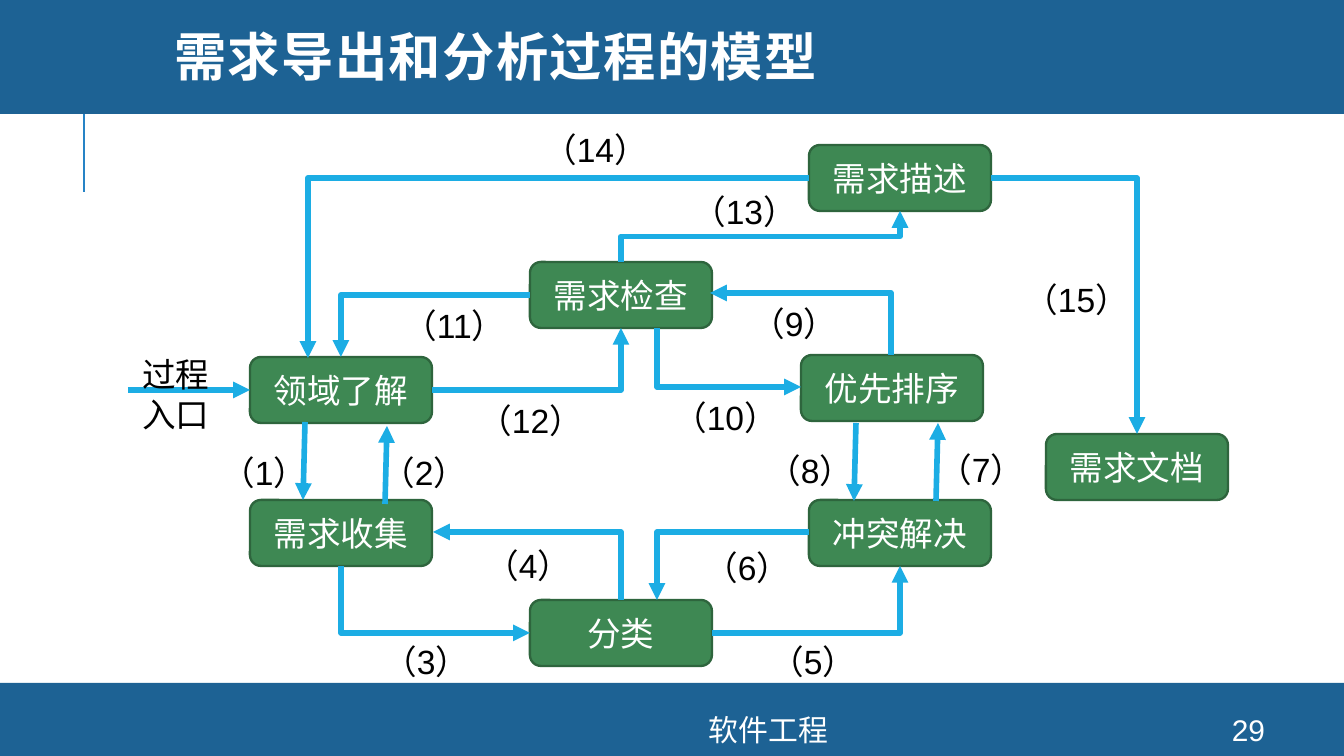
import pptx
import pptx.util
import pptx.dml.color
import pptx.enum.shapes
import pptx.enum.text
import pptx.oxml.ns
import lxml.etree

EMU_PER_PX = 914400 / 134.4
WIDTH, HEIGHT = 1344, 756
BOX_WIDTH, BOX_HEIGHT = 182, 66
BAND, GREEN, DARK_GREEN = "1D6294", "3E8853", "2E653D"
ARROW, RULE, WHITE, BLACK = "1CADE4", "2683C6", "FFFFFF", "000000"

Kind = pptx.enum.shapes.MSO_CONNECTOR
Shape = pptx.enum.shapes.MSO_SHAPE
Anchor = pptx.enum.text.MSO_ANCHOR
Align = pptx.enum.text.PP_ALIGN


def px(length):
    return pptx.util.Emu(round(length * EMU_PER_PX))


def color(code):
    return pptx.dml.color.RGBColor.from_string(code)


def add_xml(parent, tag, **attributes):
    return lxml.etree.SubElement(parent, pptx.oxml.ns.qn(tag), **attributes)


class Painter:
    font = "Arial"

    def __init__(self, page):
        self.page = page

    def add_text(self, frame, lines, size, code, align, bold=False):
        for index, line in enumerate(lines):
            para = frame.paragraphs[0] if index == 0 else frame.add_paragraph()
            para.alignment = align
            span = para.add_run()
            span.text = line
            span.font.name = self.font
            span.font.size = pptx.util.Pt(size)
            span.font.bold = bold
            span.font.color.rgb = color(code)

    def shape(self, kind, left, top, width, height, fill):
        shape = self.page.shapes.add_shape(kind, px(left), px(top), px(width), px(height))
        shape.shadow.inherit = False
        shape.fill.solid()
        shape.fill.fore_color.rgb = color(fill)
        return shape

    def band(self, top, height):
        self.shape(Shape.RECTANGLE, 0, top, WIDTH, height, BAND).line.fill.background()

    def step(self, name, left, top):
        box = self.shape(Shape.ROUNDED_RECTANGLE, left, top, BOX_WIDTH, BOX_HEIGHT, GREEN)
        box.line.color.rgb = color(DARK_GREEN)
        box.line.width = pptx.util.Pt(1.25)
        box.text_frame.vertical_anchor = Anchor.MIDDLE
        self.add_text(box.text_frame, [name], 18, WHITE, Align.CENTER)
        return box

    def label(self, lines, left, top, width, height):
        box = self.page.shapes.add_textbox(px(left), px(top), px(width), px(height))
        box.text_frame.word_wrap = False
        box.text_frame.auto_size = pptx.enum.text.MSO_AUTO_SIZE.SHAPE_TO_FIT_TEXT
        self.add_text(box.text_frame, lines, 18, BLACK, Align.LEFT)

    def heading(self, text, left, top, width, height, size, align, bold=False):
        box = self.page.shapes.add_textbox(px(left), px(top), px(width), px(height))
        frame = box.text_frame
        frame.word_wrap = True
        frame.margin_top = frame.margin_bottom = 0
        frame.vertical_anchor = Anchor.MIDDLE
        self.add_text(frame, [text], size, WHITE, align, bold)
        return frame.paragraphs[0]

    def line(self, kind, start, end, code=ARROW, weight=3, arrow_end="a:tailEnd"):
        line = self.page.shapes.add_connector(kind, *map(px, start + end))
        line.line.color.rgb = color(code)
        line.line.width = pptx.util.Pt(weight)
        properties = line._element.spPr
        if arrow_end:
            add_xml(properties.get_or_add_ln(), arrow_end, type="triangle")
        add_xml(properties, "a:effectLst")
        return line

    def elbow(self, start, end, arrow_end):
        line = self.line(Kind.ELBOW, start, end, arrow_end=arrow_end)
        line._element.spPr.find(pptx.oxml.ns.qn("a:prstGeom")).set("prst", "bentConnector2")

    def vertical_zigzag(self, start, end):
        drop, run = end[1] - start[1], start[0] - end[0]
        left = (start[0] + end[0] - drop) / 2
        top = (start[1] + end[1] - run) / 2
        line = self.line(Kind.ELBOW, (left, top), (left + drop, top + run), arrow_end="a:headEnd")
        line._element.spPr.find(pptx.oxml.ns.qn("a:xfrm")).set("rot", "5400000")


STEPS = [
    ("需求检查", 530, 262), ("领域了解", 250, 357), ("优先排序", 801, 355),
    ("需求收集", 250, 500), ("冲突解决", 809, 500), ("分类", 530, 600),
    ("需求文档", 1046, 434), ("需求描述", 809, 145),
]
STRAIGHT_ARROWS = [
    ((305, 422), (303, 500)), ((385, 504), (387, 426)),
    ((856, 423), (854, 501)), ((936, 501), (938, 423)),
]
ELBOWS_TO_END = [
    ((530, 295), (341, 357)), ((809, 178), (308, 358)), ((432, 390), (621, 328)),
    ((809, 532), (657, 600)), ((712, 633), (900, 566)), ((991, 178), (1137, 434)),
]
ELBOWS_TO_START = [
    ((433, 532), (621, 600)), ((530, 633), (341, 566)),
    ((801, 387), (657, 328)), ((710, 293), (891, 355)),
]
NUMBER_PLACES = [
    (208, 445), (368, 445), (370, 634), (472, 538), (757, 634),
    (691, 540), (925, 442), (754, 443), (738, 296), (660, 390),
    (390, 298), (465, 393), (679, 184), (530, 122), (1011, 272),
]


def main():
    deck = pptx.Presentation()
    deck.slide_width, deck.slide_height = px(WIDTH), px(HEIGHT)
    painter = Painter(deck.slides.add_slide(deck.slide_layouts[6]))

    painter.line(Kind.STRAIGHT, (84, 192), (84, 91), RULE, 1.5, None)
    painter.band(683, 73)
    painter.band(0, 114)

    boxes = {name: painter.step(name, left, top) for name, left, top in STEPS}

    entry = painter.line(Kind.STRAIGHT, (128, 390), (250, 390))
    entry.end_connect(boxes["领域了解"], 1)
    painter.label(["过程", "入口"], 129, 347, 109, 95)
    for start, end in STRAIGHT_ARROWS:
        painter.line(Kind.STRAIGHT, start, end)
    for start, end in ELBOWS_TO_END:
        painter.elbow(start, end, "a:tailEnd")
    for start, end in ELBOWS_TO_START:
        painter.elbow(start, end, "a:headEnd")
    painter.vertical_zigzag((900, 211), (621, 262))

    for number, (left, top) in enumerate(NUMBER_PLACES, 1):
        painter.label([f"（{number}）"], left, top, 132 if number < 10 else 155, 54)

    title = painter.heading("需求导出和分析过程的模型", 161, 0, 1141, 122, 28, Align.LEFT, True)
    title.line_spacing = 0.8
    title.runs[0].font._element.set("spc", "80")
    painter.heading("软件工程", 351, 714, 835, 31, 16, Align.CENTER)
    painter.heading("29", 1195, 714, 107, 31, 16, Align.CENTER)

    deck.save("out.pptx")


if __name__ == "__main__":
    main()
